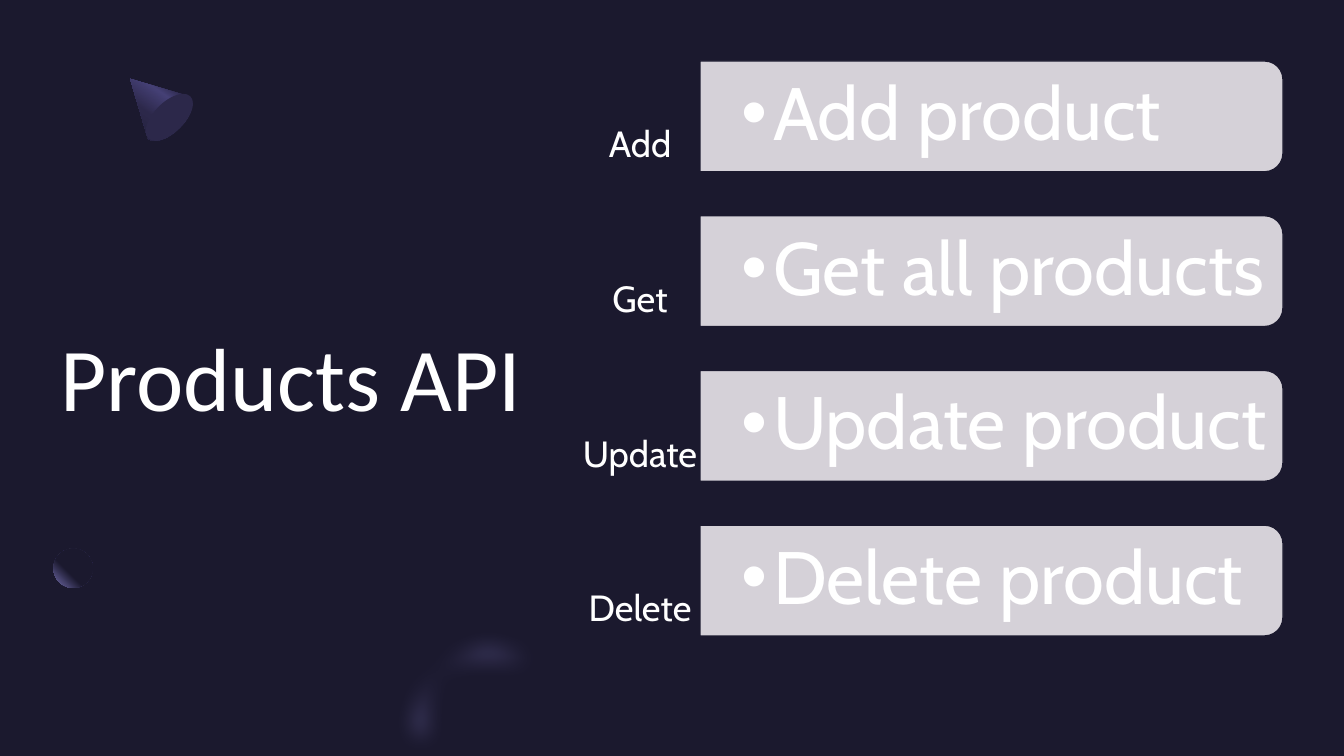
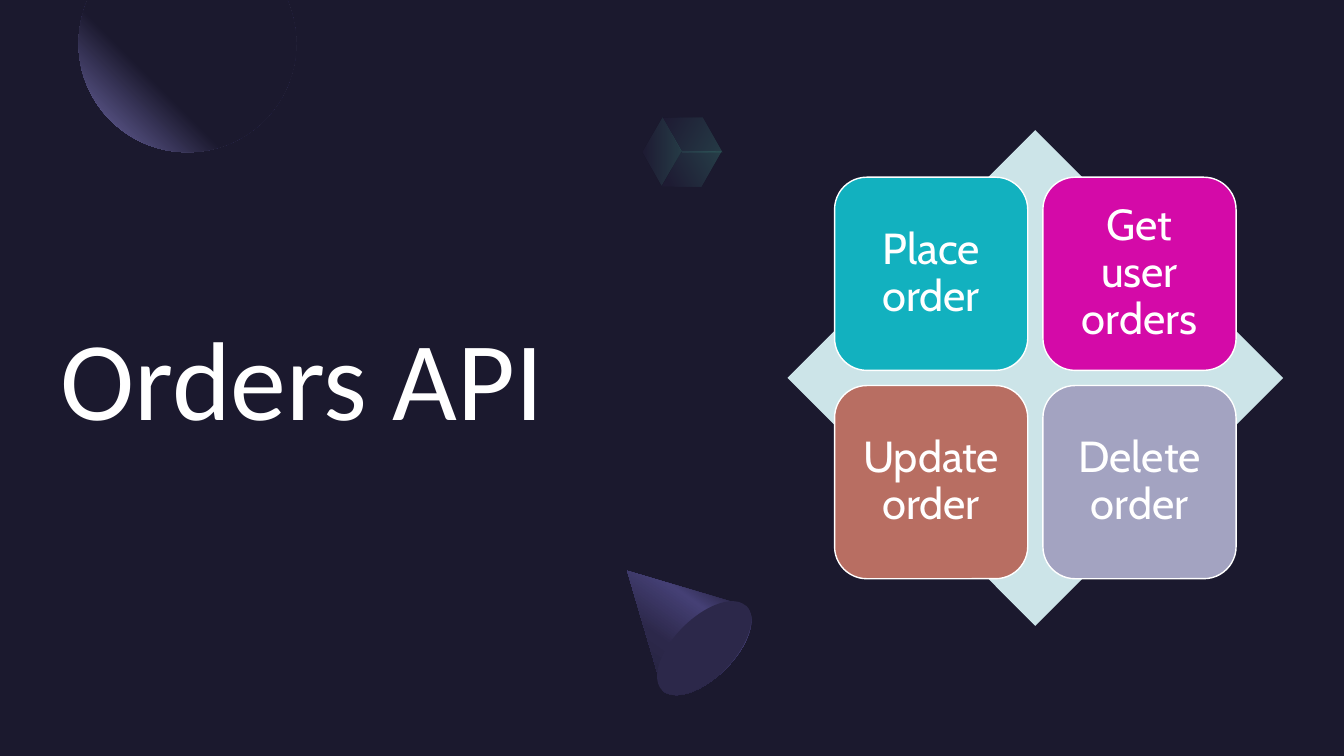
from dataclasses import dataclass

from lxml.etree import SubElement
from pptx import Presentation
from pptx.dml.color import RGBColor
from pptx.enum.shapes import MSO_SHAPE
from pptx.enum.text import MSO_ANCHOR, PP_ALIGN
from pptx.oxml.ns import qn
from pptx.shapes.autoshape import Shape
from pptx.slide import Slide
from pptx.text.text import TextFrame
from pptx.util import Emu, Inches, Pt

# The page is a grid of 160 columns and 90 rows of square cells.
COLUMNS, ROWS = 160, 90
CELL = Inches(1) // 12

NIGHT = RGBColor(0x1B, 0x19, 0x2E)
INDIGO = RGBColor(0x2C, 0x28, 0x4A)
VIOLET = RGBColor(0x45, 0x40, 0x75)
LAVENDER = RGBColor(0x77, 0x71, 0xB2)
MINT = RGBColor(0x5B, 0xEF, 0xC1)
MIST = RGBColor(0xEA, 0xE5, 0xEB)
ICE = RGBColor(0xCC, 0xE4, 0xE8)
TEAL = RGBColor(0x12, 0xB1, 0xBF)
MAGENTA = RGBColor(0xD4, 0x0A, 0xA8)
CLAY = RGBColor(0xB8, 0x6E, 0x62)
LILAC = RGBColor(0xA3, 0xA3, 0xC1)
WHITE = RGBColor(0xFF, 0xFF, 0xFF)

TITLE_FONT, BODY_FONT, BULLET_FONT = "Calibri", "Cabin", "Arial"

Point = tuple[float, float]
Segment = tuple[Point, ...]  # one point ends a line, three make a cubic curve


@dataclass(frozen=True)
class Box:
    """A rectangle in grid cells."""
    left: float
    top: float
    width: float
    height: float

    def shifted(self, across: float = 0, down: float = 0) -> "Box":
        return Box(self.left + across, self.top + down, self.width, self.height)

    def emu(self) -> tuple[Emu, Emu, Emu, Emu]:
        return (cells(self.left), cells(self.top),
                cells(self.width), cells(self.height))


@dataclass(frozen=True)
class Stop:
    """A gradient stop; position and opacity in percent."""
    position: int
    colour: RGBColor
    opacity: int = 100


@dataclass(frozen=True)
class Face:
    """A side of the cube; corners as shares of its box."""
    box: Box
    corners: tuple[Point, ...]
    angle: int


@dataclass(frozen=True)
class Endpoint:
    label: str
    action: str


@dataclass(frozen=True)
class Tile:
    text: str
    colour: RGBColor


PAGE_BOX = Box(0, 0, COLUMNS, ROWS)
CONE_STOPS = (Stop(30, INDIGO), Stop(40, VIOLET), Stop(60, INDIGO), Stop(100, NIGHT))
CUBE_STOPS = (Stop(20, INDIGO, 20), Stop(100, MINT, 20))
BALL_STOPS = (Stop(60, NIGHT), Stop(100, LAVENDER))

CONE: tuple[Segment, ...] = (
    ((7.08, 0),), ((14.16, 13.02),),
    ((14.16, 14.97), (10.99, 16.56), (7.08, 16.56)),
    ((3.17, 16.56), (0, 14.97), (0, 13.02)),
)
CUT_BALL: tuple[Segment, ...] = (
    ((1.07, 0),), ((24.85, 0),),
    ((25.5, 1.6), (25.92, 3.4), (25.92, 5.16)),
    ((25.92, 12.32), (20.12, 18.12), (12.96, 18.12)),
    ((5.8, 18.12), (0, 12.32), (0, 5.16)),
    ((0, 3.4), (0.4, 1.6), (1.07, 0)),
)
RING: tuple[Segment, ...] = (
    ((18.18, 3.13),),
    ((20.94, 5.61), (22.68, 9.43), (22.68, 13.68)),
    ((16.56, 13.68),),
    ((16.56, 9.85), (13.8, 6.81), (10.41, 6.81)),
    ((7.93, 6.88), (5.81, 8.58), (4.89, 11.05)),
    ((4.68, 11.55),), ((0, 6.81),), ((0.29, 6.03),),
    ((2.63, 2.43), (6.31, 0), (10.41, 0)),
    ((13.45, 0), (16.13, 1.08), (18.18, 3.13)),
)
CUBE = (
    Face(Box(78.36, 13.68, 8.16, 4.8), ((0, 0.5), (0.5, 0), (1, 0.5), (0.5, 1)), 0),
    Face(Box(76.8, 14.52, 3.96, 7.08), ((0, 0), (1, 0.33), (1, 1), (0, 0.67)), 330),
    Face(Box(80.28, 16.56, 4.08, 7.08), ((0, 0.33), (1, 0), (1, 0.67), (0, 1)), 300),
)

ENDPOINTS = (
    Endpoint("Add", "Add product"),
    Endpoint("Get", "Get all products"),
    Endpoint("Update", "Update product"),
    Endpoint("Delete", "Delete product"),
)
ROW_PITCH = 18.42
CHEVRON_BOX = Box(69.2, 7.26, 14.16, 20.28)
LABEL_BOX = Box(69.1, 14.3, 14.2, 6.1)
CARD_BOX = Box(83.34, 7.26, 69.4, 13.2)
ACTION_BOX = Box(83.4, 7.9, 68.8, 11.9)

TILES = (
    Tile("Place order", TEAL),
    Tile("Get user orders", MAGENTA),
    Tile("Update order", CLAY),
    Tile("Delete order", LILAC),
)
DIAMOND_BOX = Box(93.75, 15.5, 59, 59)
TILE_BOX = Box(99.36, 21.1, 23, 23)
TILE_PITCH = 24.8


def cells(count: float) -> Emu:
    return Emu(round(count * CELL))


def set_opacity(sample, opacity: int) -> None:
    if opacity < 100:
        SubElement(sample, qn("a:alpha"), val=str(opacity * 1000))


def paint(shape: Shape, colour: RGBColor, opacity: int = 100,
          line: RGBColor | None = None) -> None:
    shape.shadow.inherit = False
    shape.fill.solid()
    shape.fill.fore_color.rgb = colour
    set_opacity(shape.element.spPr.find(qn("a:solidFill"))[0], opacity)
    if line is None:
        shape.line.fill.background()
    else:
        shape.line.color.rgb = line
        shape.line.width = Pt(1)


def paint_gradient(shape: Shape, stops: tuple[Stop, ...],
                   angle: int | None = None) -> None:
    """Linear along a clockwise angle, or round from the top right without one."""
    paint(shape, NIGHT)
    properties = shape.element.spPr
    solid = properties.find(qn("a:solidFill"))
    gradient = SubElement(properties, qn("a:gradFill"), rotWithShape="1")
    properties.replace(solid, gradient)
    stop_list = SubElement(gradient, qn("a:gsLst"))
    for stop in stops:
        entry = SubElement(stop_list, qn("a:gs"), pos=str(stop.position * 1000))
        sample = SubElement(entry, qn("a:srgbClr"), val=str(stop.colour))
        set_opacity(sample, stop.opacity)
    if angle is None:
        centre = SubElement(gradient, qn("a:path"), path="circle")
        SubElement(centre, qn("a:fillToRect"), l="100000", b="100000")
    else:
        SubElement(gradient, qn("a:lin"), ang=str(angle * 60000), scaled="0")


def add_preset(page: Slide, kind: MSO_SHAPE, box: Box, quarter_turn: bool = False) -> Shape:
    """Fill the box as seen, also when the shape lies on its side."""
    if quarter_turn:
        inset = (box.width - box.height) / 2
        box = Box(box.left + inset, box.top - inset, box.height, box.width)
    shape = page.shapes.add_shape(kind, *box.emu())
    if quarter_turn:
        shape.rotation = 90
    return shape


def add_outline(page: Slide, box: Box, segments: tuple[Segment, ...],
                rotation: float = 0) -> Shape:
    """Stretch a closed outline of lines and curves over the box."""
    first, *rest = [(cells(x), cells(y)) for segment in segments for x, y in segment]
    builder = page.shapes.build_freeform(*first, scale=1.0)
    builder.add_line_segments(rest, close=True)
    shape = builder.convert_to_shape()
    route = shape.element.find(".//" + qn("a:path"))
    lines = iter(route.findall(qn("a:lnTo")))
    for segment in segments[1:]:
        steps = [next(lines) for _ in segment]
        if len(steps) == 3:
            curve = SubElement(route, qn("a:cubicBezTo"))
            steps[0].addprevious(curve)
            for step in steps:
                curve.append(step[0])
                route.remove(step)
    shape.left, shape.top, shape.width, shape.height = box.emu()
    shape.rotation = rotation
    return shape


def write(frame: TextFrame, text: str, *, size: float, font: str = BODY_FONT,
          align: PP_ALIGN = PP_ALIGN.LEFT, inset: float = 0,
          left_inset: float | None = None, spacing: float = 0.9,
          bullet: bool = False) -> None:
    frame.word_wrap = True
    frame.vertical_anchor = MSO_ANCHOR.MIDDLE
    frame.margin_top = frame.margin_right = frame.margin_bottom = Inches(inset)
    frame.margin_left = Inches(inset if left_inset is None else left_inset)
    para = frame.paragraphs[0]
    para.alignment = align
    para.line_spacing = spacing
    if bullet:
        properties = para._p.get_or_add_pPr()
        hang = Inches(0.31)
        properties.set("marL", str(hang))
        properties.set("indent", str(-hang))
        SubElement(properties, qn("a:buFont"), typeface=BULLET_FONT)
        SubElement(properties, qn("a:buChar"), char="•")
    span = para.add_run()
    span.text = text
    span.font.name = font
    span.font.size = Pt(size)
    span.font.color.rgb = WHITE


def add_text(page: Slide, box: Box, text: str, **style) -> None:
    write(page.shapes.add_textbox(*box.emu()).text_frame, text, **style)


def add_page(deck: Presentation, title: str, width: float, size: float) -> Slide:
    page = deck.slides.add_slide(deck.slide_layouts[6])
    page.background.fill.solid()
    page.background.fill.fore_color.rgb = NIGHT
    paint(add_preset(page, MSO_SHAPE.RECTANGLE, PAGE_BOX), NIGHT)
    add_text(page, Box(7.2, 19.9, width, 49.6), title,
             size=size, font=TITLE_FONT, spacing=1.0)
    return page


def add_cone(page: Slide, body: Box, base: Box) -> None:
    paint_gradient(add_outline(page, body, CONE, -45), CONE_STOPS, 170)
    add_tilted_oval(page, base, INDIGO)


def add_tilted_oval(page: Slide, box: Box, colour: RGBColor) -> None:
    oval = add_preset(page, MSO_SHAPE.OVAL, box)
    oval.rotation = 45
    paint(oval, colour)


def add_ring(page: Slide) -> None:
    """A softly lit part of a ring at the bottom edge."""
    paint(add_outline(page, Box(42.84, 75.24, 23.04, 12.12), RING, -45), NIGHT)
    glow = add_outline(page, Box(44.04, 75.12, 22.68, 13.68), RING, -45)
    paint(glow, LAVENDER, opacity=40)
    effects = glow.element.spPr.find(qn("a:effectLst"))
    SubElement(effects, qn("a:softEdge"), rad=str(Inches(0.2)))
    add_tilted_oval(page, Box(63.96, 76.56, 1.44, 6.12), NIGHT)


def add_products_page(deck: Presentation) -> None:
    page = add_page(deck, "Products API", 59.5, 64)
    add_cone(page, Box(14.88, 8.16, 7.08, 8.28), Box(18.36, 10.44, 3.6, 7.08))
    paint_gradient(add_preset(page, MSO_SHAPE.OVAL, Box(6.36, 65.3, 4.7, 4.7)), BALL_STOPS)
    add_ring(page)
    for row, endpoint in enumerate(ENDPOINTS):
        down = row * ROW_PITCH
        chevron = add_preset(page, MSO_SHAPE.CHEVRON, CHEVRON_BOX.shifted(down=down), True)
        paint(chevron, NIGHT, line=NIGHT)
        add_text(page, LABEL_BOX.shifted(down=down), endpoint.label,
                 size=26, align=PP_ALIGN.CENTER, inset=0.02)
        card = add_preset(page, MSO_SHAPE.ROUND_2_SAME_RECTANGLE,
                          CARD_BOX.shifted(down=down), True)
        paint(card, MIST, opacity=90, line=NIGHT)
        add_text(page, ACTION_BOX.shifted(down=down), endpoint.action,
                 size=53, inset=0.04, left_inset=0.41, bullet=True)


def add_orders_page(deck: Presentation) -> None:
    page = add_page(deck, "Orders API", 71.4, 80)
    paint_gradient(add_outline(page, Box(9.36, 0, 25.92, 18.12), CUT_BALL), BALL_STOPS)
    for face in CUBE:
        segments = tuple((corner,) for corner in face.corners)
        paint_gradient(add_outline(page, face.box, segments, 30), CUBE_STOPS, face.angle)
    add_cone(page, Box(73.44, 65.52, 14.16, 16.56), Box(80.28, 70.08, 7.08, 14.16))
    paint(add_preset(page, MSO_SHAPE.DIAMOND, DIAMOND_BOX), ICE)
    for index, tile in enumerate(TILES):
        row, column = divmod(index, 2)
        box = TILE_BOX.shifted(column * TILE_PITCH, row * TILE_PITCH)
        shape = add_preset(page, MSO_SHAPE.ROUNDED_RECTANGLE, box)
        paint(shape, tile.colour, line=WHITE)
        write(shape.text_frame, tile.text, size=31, align=PP_ALIGN.CENTER, inset=0.13)


def main() -> None:
    deck = Presentation()
    deck.slide_width, deck.slide_height = cells(COLUMNS), cells(ROWS)
    add_products_page(deck)
    add_orders_page(deck)
    deck.save("out.pptx")


if __name__ == "__main__":
    main()
